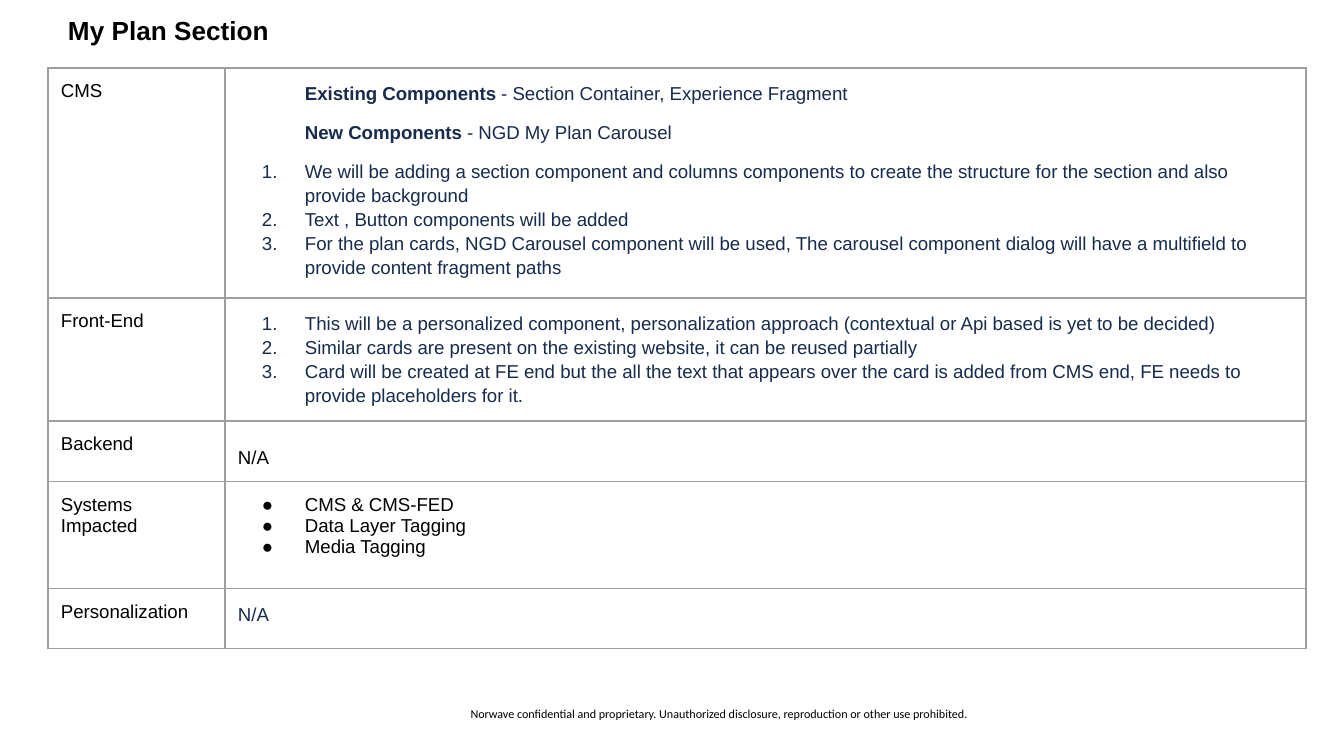
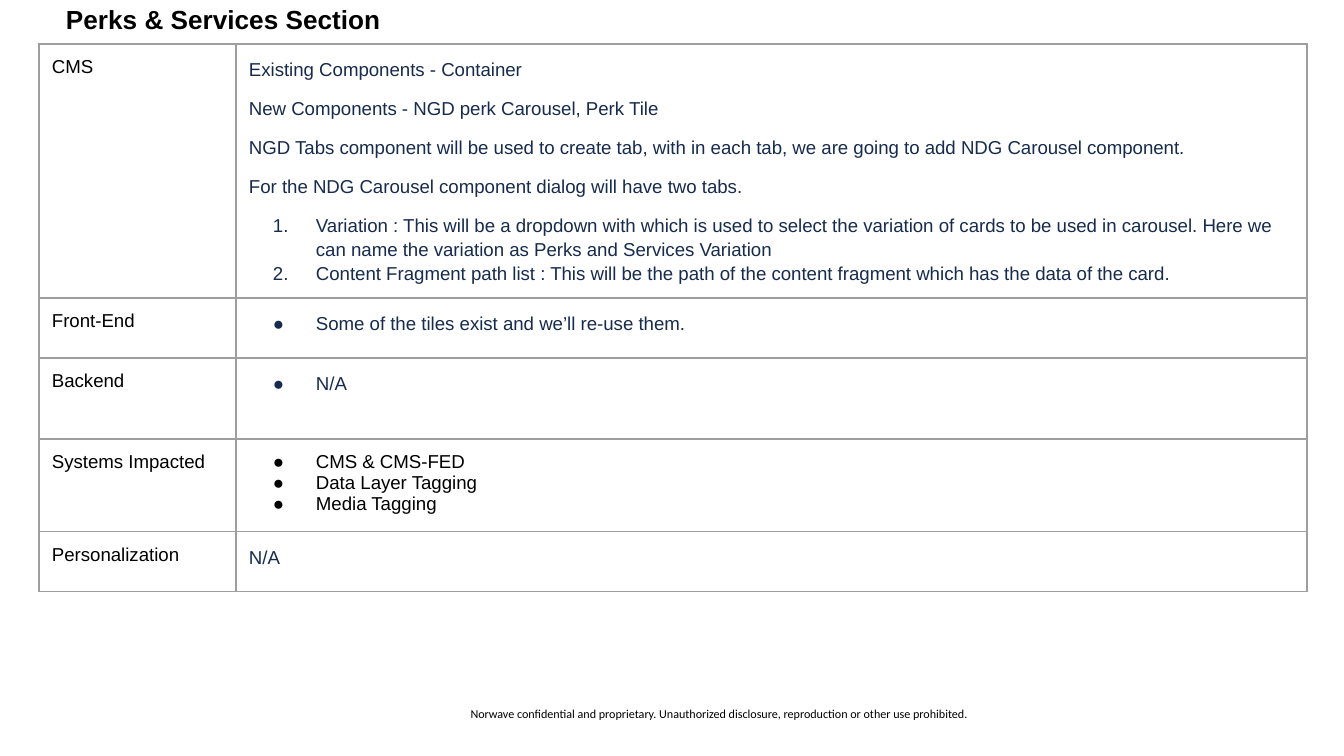
import pptx
import pptx.util
import pptx.dml.color
import pptx.enum.text
import pptx.oxml
import pptx.oxml.ns
from lxml import etree

EMU = 914400 / 134.4  # one px
WIDE, HIGH = 1344, 756
BLACK, NAVY, GREY = "000000", "172B4D", "9E9E9E"
INSET, HANG, PAD = 67, 43, 13
BULLET = {"num": ("a:buAutoNum", {"type": "arabicPeriod"}),
          "dot": ("a:buChar", {"char": "●"})}

FOOTER = ("Norwave confidential and proprietary. Unauthorized disclosure, "
          "reproduction or other use prohibited.")
FOOT_BOX = (196, 677, 1047, 44)

SYSTEMS = [("dot", "CMS & CMS-FED"), ("dot", "Data Layer Tagging"), ("dot", "Media Tagging")]
NONE = [("plain", "N/A")]

# Rows: label, height, colour, line spacing, paragraphs (kind, text, bold lead)
SLIDES = [
    {"title": "My Plan Section", "box": (59, 11, 1210, 36),
     "at": (48, 68), "cols": (177, 1081),
     "rows": [
         ("CMS", 230, NAVY, 1.15, [
             ("inset", " - Section Container, Experience Fragment", "Existing Components"),
             ("inset", "- NGD My Plan Carousel", "New Components "),
             ("num", "We will be adding a section component and columns components to create "
                     "the structure for the section and also provide background"),
             ("num", "Text , Button components will be added"),
             ("num", "For the plan cards, NGD Carousel component will be used, The carousel "
                     "component dialog will have a multifield to provide content fragment paths")]),
         ("Front-End", 123, NAVY, 1.15, [
             ("num", "This will be a personalized component, personalization approach "
                     "(contextual or Api based is yet to be decided)"),
             ("num", "Similar cards are present on the existing website, it can be reused partially"),
             ("num", "Card will be created at FE end but the all the text that appears over the "
                     "card is added from CMS end, FE needs to provide placeholders for it.")]),
         ("Backend", 61, BLACK, 1.67, NONE),
         ("Systems Impacted", 107, BLACK, 1.0, SYSTEMS),
         ("Personalization", 60, NAVY, 1.15, NONE)]},
    {"title": "Perks & Services Section", "box": (57, 0, 1210, 39),
     "at": (39, 44), "cols": (197, 1071),
     "rows": [
         ("CMS", 254, NAVY, 1.15, [
             ("plain", "Existing Components - Container"),
             ("plain", "New Components - NGD perk Carousel, Perk Tile"),
             ("plain", "NGD Tabs component will be used to create tab, with in each tab, we are "
                       "going to add NDG Carousel component."),
             ("plain", "For the NDG Carousel component dialog will have two tabs."),
             ("num", "Variation : This will be a dropdown with which is used to select the "
                     "variation of cards to be used in carousel. Here we can name the variation "
                     "as Perks and Services Variation"),
             ("num", "Content Fragment path list : This will be the path of the content fragment "
                     "which has the data of the card.")]),
         ("Front-End", 60, NAVY, 1.15, [("dot", "Some of the tiles exist and we’ll re-use them.")]),
         ("Backend", 81, NAVY, 1.15, [("dot", "N/A")]),
         ("Systems Impacted", 93, BLACK, 1.0, SYSTEMS),
         ("Personalization", 60, NAVY, 1.15, NONE)]},
]


def px(n):
    return pptx.util.Emu(round(n * EMU))


def paint(code):
    return pptx.dml.color.RGBColor.from_string(code)


def write(para, text, size=10, font="Arial", color=BLACK, bold=False,
          space=1.0, gap=0, align="LEFT"):
    """Add one run and set its paragraph's format."""
    para.alignment = getattr(pptx.enum.text.PP_ALIGN, align)
    para.line_spacing = space
    para.space_before = pptx.util.Pt(gap)
    run = para.add_run()
    run.text = text
    run.font.size = pptx.util.Pt(size)
    run.font.name = font
    run.font.bold = bold
    run.font.color.rgb = paint(color)


def add(node, tag, **attrs):
    return etree.SubElement(node, pptx.oxml.ns.qn(tag), attrs)


def indent(para, kind, color):
    """Set the left margin and the bullet of a paragraph."""
    if kind == "plain":
        return
    props = para._p.get_or_add_pPr()
    props.set("marL", str(px(INSET)))
    props.set("indent", str(-px(HANG) if kind in BULLET else 0))
    if kind in BULLET:
        add(add(props, "a:buClr"), "a:srgbClr", val=color)
        tag, attrs = BULLET[kind]
        add(props, "a:buFont", typeface="Arial")
        add(props, tag, **attrs)


def frame(cell):
    """Give a cell its margins, grey borders and no fill."""
    cell.margin_left = cell.margin_right = px(PAD)
    cell.margin_top = cell.margin_bottom = px(PAD)
    props = cell._tc.get_or_add_tcPr()
    for side in "LRTB":
        line = add(props, "a:ln" + side, w=str(pptx.util.Pt(0.75)))
        add(add(line, "a:solidFill"), "a:srgbClr", val=GREY)
    cell.fill.background()


def fill_cell(cell, paras, color, space):
    last = None
    for i, (kind, text, *lead) in enumerate(paras):
        para = cell.text_frame.add_paragraph() if i else cell.text_frame.paragraphs[0]
        indent(para, kind, color)
        tight = i == 0 or (kind in BULLET and kind == last)
        look = {"color": color, "space": space, "gap": 0 if tight else 8}
        for part in lead:
            write(para, part, bold=True, **look)
        write(para, text, **look)
        last = kind


def add_grid(slide, at, cols, rows):
    high = sum(row[1] for row in rows)
    grid = slide.shapes.add_table(len(rows), len(cols), px(at[0]), px(at[1]),
                                  px(sum(cols)), px(high)).table
    grid.first_row = grid.horz_banding = False
    for col, wide in zip(grid.columns, cols):
        col.width = px(wide)
    for line, (label, tall, color, space, paras) in zip(grid.rows, rows):
        line.height = px(tall)
        head, body = line.cells
        frame(head)
        frame(body)
        write(head.text_frame.paragraphs[0], label)
        fill_cell(body, paras, color, space)


def set_frame(shape, pad, anchor):
    text = shape.text_frame
    text.word_wrap = True
    text.auto_size = pptx.enum.text.MSO_AUTO_SIZE.NONE
    text.margin_left = text.margin_right = px(pad)
    text.margin_top = text.margin_bottom = px(pad)
    text.vertical_anchor = getattr(pptx.enum.text.MSO_ANCHOR, anchor)
    return text.paragraphs[0]


def add_title(slide, text, box):
    title = slide.shapes.title
    title.left, title.top, title.width, title.height = map(px, box)
    write(set_frame(title, 9, "TOP"), text, size=14, bold=True, space=0.8)


def add_footer(slide):
    foot = slide.shapes.add_textbox(*map(px, FOOT_BOX))
    write(set_frame(foot, 0, "BOTTOM"), FOOTER, size=6.5, font="Calibri",
          space=1.14, align="CENTER")


def main():
    deck = pptx.Presentation()
    deck.slide_width, deck.slide_height = px(WIDE), px(HIGH)
    for page in SLIDES:
        slide = deck.slides.add_slide(deck.slide_layouts[5])
        add_footer(slide)
        add_title(slide, page["title"], page["box"])
        add_grid(slide, page["at"], page["cols"], page["rows"])
    deck.save("out.pptx")


if __name__ == "__main__":
    main()
